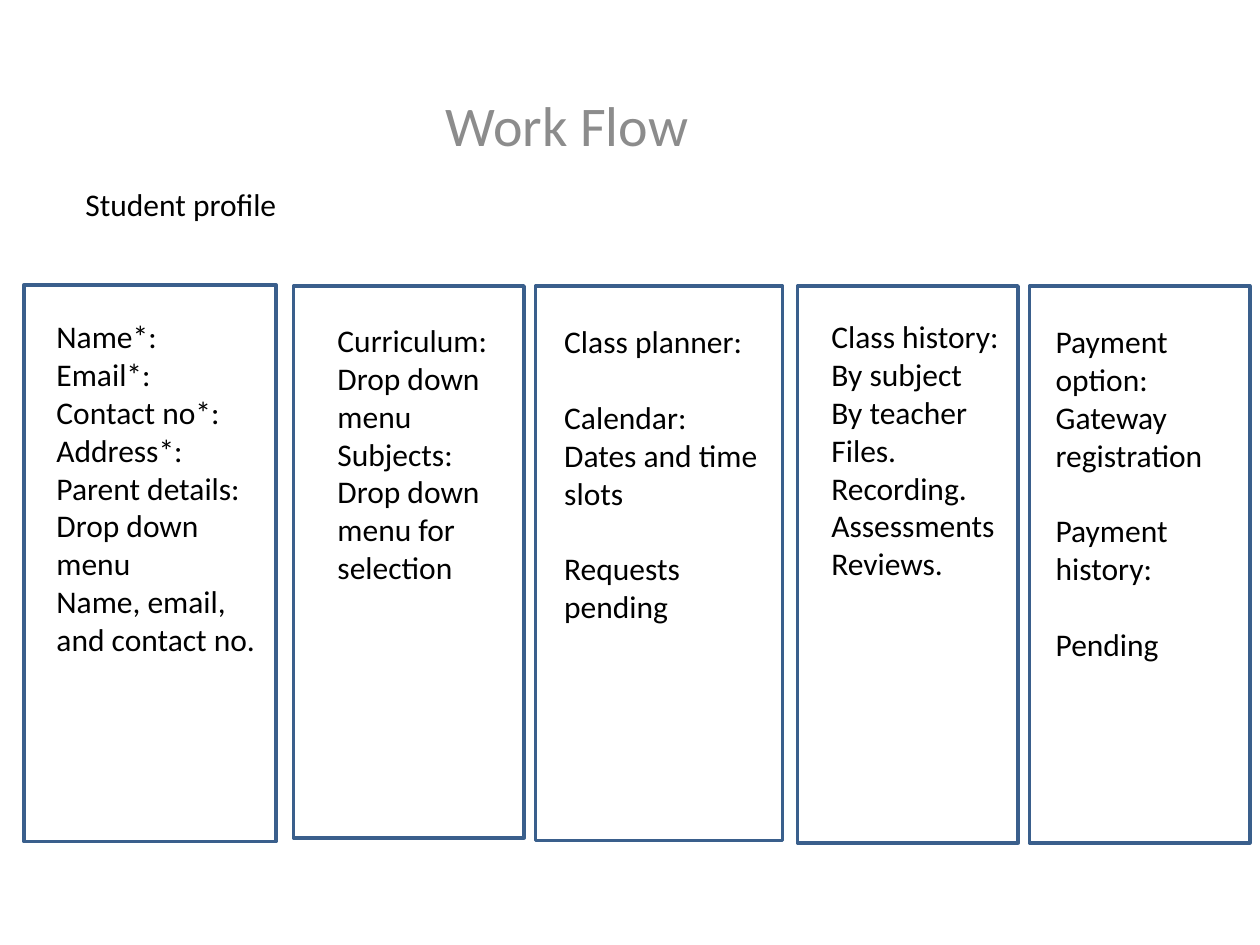
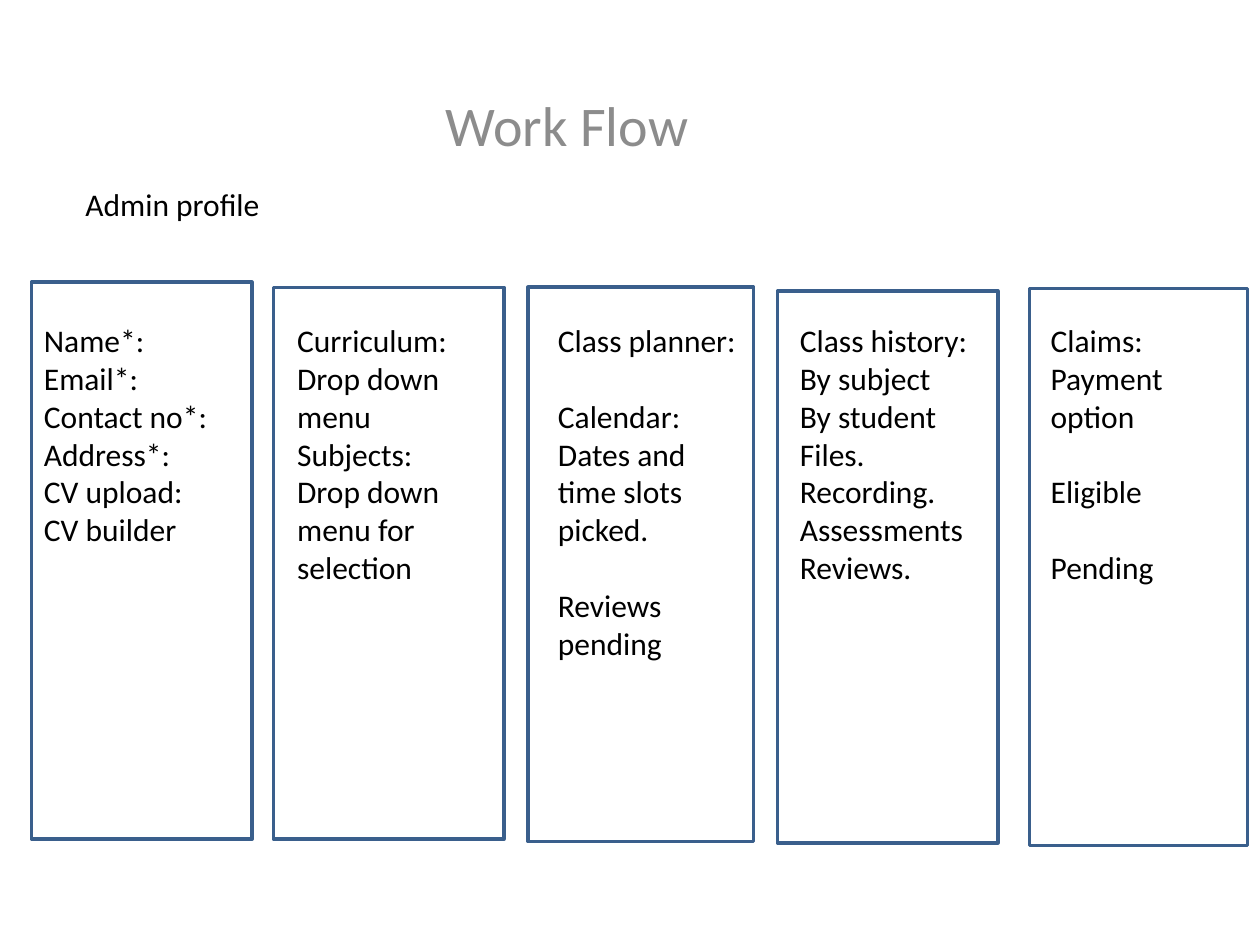
from dataclasses import dataclass

from pptx import Presentation
from pptx.dml.color import RGBColor
from pptx.enum.shapes import MSO_SHAPE
from pptx.enum.text import PP_ALIGN
from pptx.util import Inches, Pt

FONT = "Calibri"
BLACK = RGBColor(0x00, 0x00, 0x00)
TITLE_GRAY = RGBColor(0x8C, 0x8C, 0x8C)
FRAME_BLUE = RGBColor(0x3A, 0x5F, 0x8C)
GROUP_GAP = Pt(21.6)


@dataclass
class Column:
    frame: tuple
    text_area: tuple
    text: str


CURRICULUM = "Curriculum:\nDrop down menu\nSubjects:\nDrop down menu for selection"
CONTACT = "Name*:\nEmail*:\nContact no*:\nAddress*:\n"
HISTORY = "Class history:\nBy subject\nBy {}\nFiles.\nRecording.\nAssessments\nReviews."

STUDENT_COLUMNS = [
    Column((0.19, 2.26, 2, 4.42), (0.35, 2.47, 1.83, 2.83),
           CONTACT + "Parent details:\nDrop down menu\nName, email, and contact no."),
    Column((2.33, 2.27, 1.83, 4.38), (2.58, 2.5, 1.58, 2.52), CURRICULUM),
    Column((4.25, 2.27, 1.96, 4.4), (4.38, 2.51, 1.83, 2.52),
           "Class planner:\n\nCalendar:\nDates and time slots\n\nRequests pending"),
    Column((6.33, 2.27, 1.75, 4.42), (6.5, 2.47, 1.58, 3.13), HISTORY.format("teacher")),
    Column((8.17, 2.27, 1.75, 4.42), (8.28, 2.51, 1.58, 3.74),
           "Payment option:\nGateway registration\n\nPayment history:\n\nPending"),
]

ADMIN_COLUMNS = [
    Column((0.25, 2.24, 1.75, 4.42), (0.25, 2.5, 1.58, 2.22),
           CONTACT + "CV upload:\nCV builder"),
    Column((2.17, 2.28, 1.83, 4.38), (2.26, 2.5, 1.58, 2.52), CURRICULUM),
    Column((4.19, 2.28, 1.79, 4.4), (4.33, 2.5, 1.64, 2.83),
           "Class planner:\n\nCalendar:\nDates and time slots picked.\n\nReviews pending"),
    Column((6.17, 2.31, 1.75, 4.38), (6.25, 2.5, 1.58, 3.13), HISTORY.format("student")),
    Column((8.17, 2.29, 1.73, 4.42), (8.24, 2.5, 1.58, 3.43),
           "Claims:\nPayment option\n\nEligible\n\nPending"),
]


def add_text(slide, area, text, size=18, color=BLACK, align=PP_ALIGN.LEFT):
    text_frame = slide.shapes.add_textbox(*map(Inches, area)).text_frame
    text_frame.word_wrap = True
    paragraph = None
    for group in text.split("\n\n"):
        for index, line in enumerate(group.split("\n")):
            starts_new_group = paragraph is not None and index == 0
            paragraph = text_frame.add_paragraph() if paragraph else text_frame.paragraphs[0]
            paragraph.alignment = align
            if starts_new_group:
                paragraph.space_before = GROUP_GAP
            run = paragraph.add_run()
            run.text = line
            run.font.name = FONT
            run.font.size = Pt(size)
            run.font.color.rgb = color


def add_frame(slide, area):
    shape = slide.shapes.add_shape(MSO_SHAPE.RECTANGLE, *map(Inches, area))
    shape.shadow.inherit = False
    shape.fill.background()
    shape.line.color.rgb = FRAME_BLUE
    shape.line.width = Pt(2)


def add_profile_slide(presentation, profile, columns):
    slide = presentation.slides.add_slide(presentation.slide_layouts[6])
    add_text(slide, (0.5, 0.67, 8, 0.58), "Work Flow",
             size=32, color=TITLE_GRAY, align=PP_ALIGN.CENTER)
    add_text(slide, (0.58, 1.42, 1.75, 0.71), profile)
    for column in columns:
        add_frame(slide, column.frame)
        add_text(slide, column.text_area, column.text)


def main():
    presentation = Presentation()
    presentation.slide_width = Inches(10)
    presentation.slide_height = Inches(7.5)
    add_profile_slide(presentation, "Student profile", STUDENT_COLUMNS)
    add_profile_slide(presentation, "Admin profile", ADMIN_COLUMNS)
    presentation.save("out.pptx")


if __name__ == "__main__":
    main()
